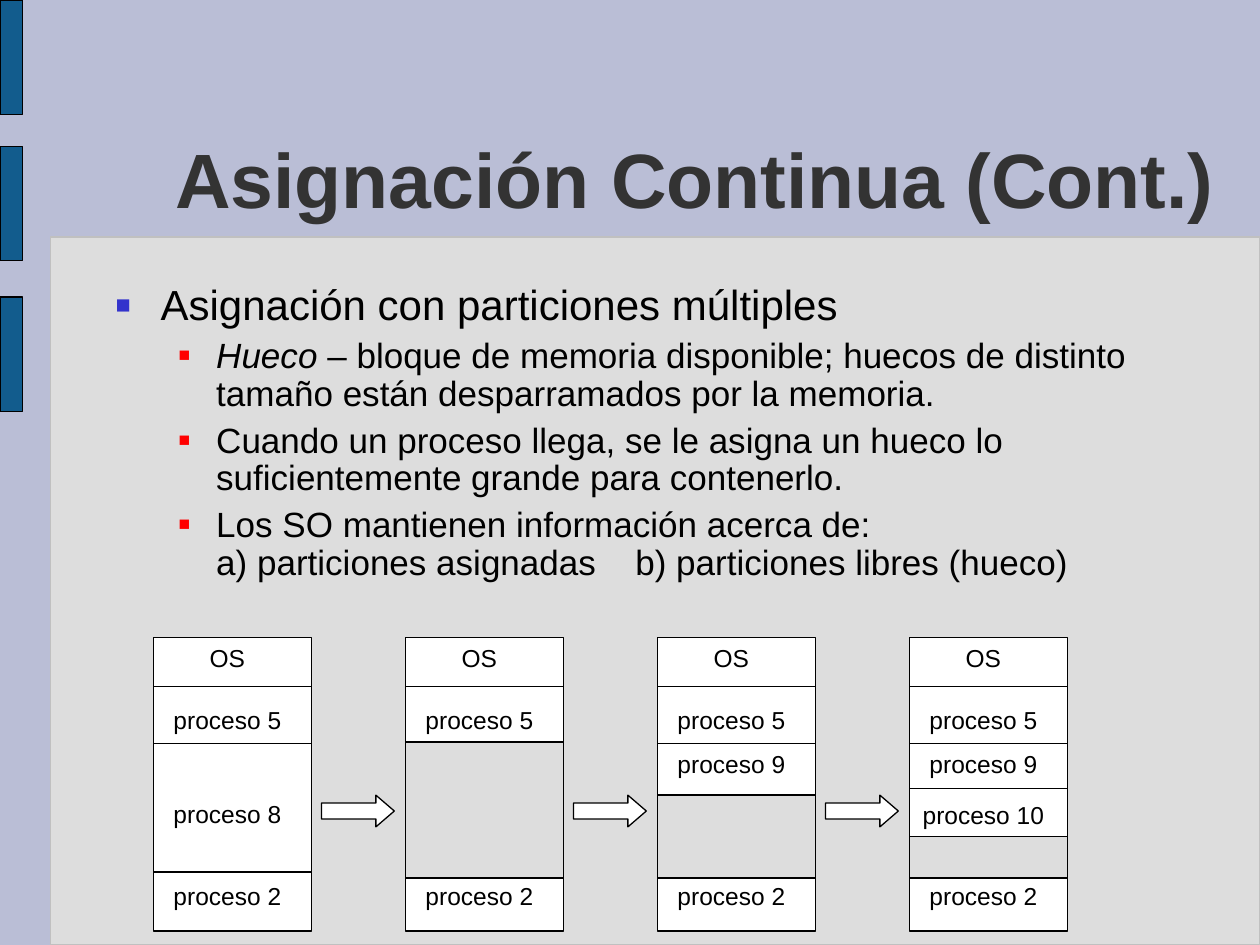
from dataclasses import dataclass

from lxml.etree import SubElement
from pptx import Presentation
from pptx.dml.color import RGBColor
from pptx.enum.shapes import MSO_CONNECTOR, MSO_SHAPE
from pptx.enum.text import MSO_ANCHOR, PP_ALIGN
from pptx.oxml.ns import qn
from pptx.shapes.autoshape import Shape
from pptx.slide import Slide
from pptx.text.text import TextFrame, _Paragraph as Paragraph
from pptx.util import Cm, Pt

LAVENDER = RGBColor(0xBA, 0xBE, 0xD6)
PANEL_GREY = RGBColor(0xDD, 0xDD, 0xDD)
EDGE_GREY = RGBColor(0xC0, 0xC0, 0xC0)
BAR_BLUE = RGBColor(0x12, 0x5C, 0x8D)
TITLE_GREY = RGBColor(0x33, 0x33, 0x33)
BULLET_BLUE = RGBColor(0x33, 0x33, 0xCC)
BULLET_RED = RGBColor(0xFF, 0x00, 0x00)
BLACK = RGBColor(0x00, 0x00, 0x00)
WHITE = RGBColor(0xFF, 0xFF, 0xFF)

FONT = "Arial"
THIN = Pt(0.75)

# Memory diagrams, in centimetres
FIRST_LEFT, PITCH = 3.1, 5.08
MEMORY_TOP, MEMORY_WIDTH, MEMORY_HEIGHT = 12.85, 3.18, 5.92
DIVIDERS = (13.84, 14.99, 17.58)
HOLE_BOTTOM = 17.7
LABEL_WIDTH, LABEL_HEIGHT = 2.97, 0.86


@dataclass(frozen=True)
class Process:
    name: str
    top: float


@dataclass(frozen=True)
class Memory:
    processes: tuple[Process, ...]
    hole_top: float | None = None
    extra_dividers: tuple[float, ...] = ()


@dataclass(frozen=True)
class Level:
    depth: int
    size: int
    margin: float
    hanging: float
    space_before: int
    bullet_color: RGBColor
    bullet_percent: int


@dataclass(frozen=True)
class Span:
    text: str
    italic: bool = False
    spacing: float = 0


@dataclass(frozen=True)
class Point:
    level: Level
    lines: tuple[tuple[Span, ...], ...]


TOPIC = Level(0, 24, 0.91, 0.91, 0, BULLET_BLUE, 60)
DETAIL = Level(1, 20, 2.03, 0.76, 5, BULLET_RED, 55)

POINTS = (
    Point(TOPIC, ((Span("Asignación con particiones múltiples"),),)),
    Point(DETAIL, ((
        Span("Hueco", italic=True),
        Span(" – bloque de memoria disponible; huecos de distinto "
             "tamaño están desparramados por la memoria."),
    ),)),
    Point(DETAIL, ((Span("Cuando un proceso llega, se le asigna un hueco lo "
                         "suficientemente grande para contenerlo."),),)),
    Point(DETAIL, (
        (Span("Los SO mantienen información acerca de:"),),
        (Span("a) particiones asignadas"), Span(" ", spacing=16.7),
         Span("b) particiones libres (hueco)")),
    )),
)

RESIDENT = (Process("OS", 12.83), Process("proceso 5", 14.07), Process("proceso 2", 17.63))
PROCESS_8 = Process("proceso 8", 15.98)
PROCESS_9 = Process("proceso 9", 14.96)
PROCESS_10 = Process("proceso 10", 16.0)

MEMORIES = (
    Memory((*RESIDENT, PROCESS_8)),
    Memory(RESIDENT, 14.96),
    Memory((*RESIDENT, PROCESS_9), 16.03),
    Memory((*RESIDENT, PROCESS_9, PROCESS_10), 16.87, (15.9,)),
)


def add_block(slide: Slide, left: float, top: float, width: float, height: float,
              fill: RGBColor, edge: RGBColor = BLACK,
              kind: MSO_SHAPE = MSO_SHAPE.RECTANGLE) -> Shape:
    block = slide.shapes.add_shape(kind, Cm(left), Cm(top), Cm(width), Cm(height))
    block.shadow.inherit = False
    block.fill.solid()
    block.fill.fore_color.rgb = fill
    block.line.color.rgb = edge
    block.line.width = THIN
    return block


def add_divider(slide: Slide, left: float, top: float) -> None:
    divider = slide.shapes.add_connector(
        MSO_CONNECTOR.STRAIGHT, Cm(left), Cm(top), Cm(left + MEMORY_WIDTH), Cm(top))
    divider.line.color.rgb = BLACK
    divider.line.width = THIN
    SubElement(divider._element.spPr, qn("a:effectLst"))


def add_frame(slide: Slide, left: float, top: float, width: float, height: float,
              anchor: MSO_ANCHOR) -> TextFrame:
    frame = slide.shapes.add_textbox(Cm(left), Cm(top), Cm(width), Cm(height)).text_frame
    frame.word_wrap = True
    frame.vertical_anchor = anchor
    return frame


def add_run(paragraph: Paragraph, span: Span, size: int,
            color: RGBColor = BLACK, bold: bool = False) -> None:
    run = paragraph.add_run()
    run.text = span.text
    run.font.name = FONT
    run.font.size = Pt(size)
    run.font.bold = bold
    run.font.italic = span.italic
    run.font.color.rgb = color
    if span.spacing:
        run._r.get_or_add_rPr().set("spc", str(round(span.spacing * 100)))


def add_centred_text(frame: TextFrame, text: str, size: int,
                     color: RGBColor = BLACK, bold: bool = False) -> None:
    paragraph = frame.paragraphs[0]
    paragraph.alignment = PP_ALIGN.CENTER
    add_run(paragraph, Span(text), size, color, bold)


def set_bullet(paragraph: Paragraph, level: Level) -> None:
    properties = paragraph._p.get_or_add_pPr()
    properties.set("marL", str(Cm(level.margin)))
    properties.set("indent", str(-Cm(level.hanging)))
    color = SubElement(properties, qn("a:buClr"))
    SubElement(color, qn("a:srgbClr"), val=str(level.bullet_color))
    SubElement(properties, qn("a:buSzPct"), val=str(level.bullet_percent * 1000))
    SubElement(properties, qn("a:buFont"), typeface=FONT)
    SubElement(properties, qn("a:buChar"), char="■")


def write_point(paragraph: Paragraph, point: Point) -> None:
    level = point.level
    paragraph.level = level.depth
    paragraph.line_spacing = 0.9
    paragraph.space_before = Pt(level.space_before)
    set_bullet(paragraph, level)
    for number, line in enumerate(point.lines):
        if number:
            paragraph.add_line_break()
        for span in line:
            add_run(paragraph, span, level.size)


def draw_memory(slide: Slide, memory: Memory, left: float) -> None:
    add_block(slide, left, MEMORY_TOP, MEMORY_WIDTH, MEMORY_HEIGHT, WHITE)
    for top in DIVIDERS + memory.extra_dividers:
        add_divider(slide, left, top)
    if memory.hole_top is not None:
        add_block(slide, left, memory.hole_top, MEMORY_WIDTH,
                  HOLE_BOTTOM - memory.hole_top, PANEL_GREY)
    for process in memory.processes:
        label = add_frame(slide, left, process.top, LABEL_WIDTH, LABEL_HEIGHT,
                          MSO_ANCHOR.MIDDLE)
        add_centred_text(label, process.name, 14)


def main() -> None:
    deck = Presentation()
    deck.slide_width, deck.slide_height = Cm(25.4), Cm(19.05)
    slide = deck.slides.add_slide(deck.slide_layouts[6])
    slide.background.fill.solid()
    slide.background.fill.fore_color.rgb = LAVENDER

    add_block(slide, 1.02, 4.78, 24.38, 14.27, PANEL_GREY, EDGE_GREY)
    for bar_top in (0, 2.95, 5.99):
        add_block(slide, 0, bar_top, 0.46, 2.31, BAR_BLUE)

    title = add_frame(slide, 3.2, 0.58, 21.64, 4.06, MSO_ANCHOR.BOTTOM)
    add_centred_text(title, "Asignación Continua (Cont.)", 44, TITLE_GREY, bold=True)

    body = add_frame(slide, 2.08, 5.61, 22.78, 6.88, MSO_ANCHOR.TOP)
    for number, point in enumerate(POINTS):
        write_point(body.add_paragraph() if number else body.paragraphs[0], point)

    for number, memory in enumerate(MEMORIES):
        left = FIRST_LEFT + number * PITCH
        draw_memory(slide, memory, left)
        if number < len(MEMORIES) - 1:
            arrow = add_block(slide, left + 3.38, 16.03, 1.47, 0.64, WHITE,
                              kind=MSO_SHAPE.RIGHT_ARROW)
            arrow.adjustments[1] = 0.58

    deck.save("out.pptx")


if __name__ == "__main__":
    main()
